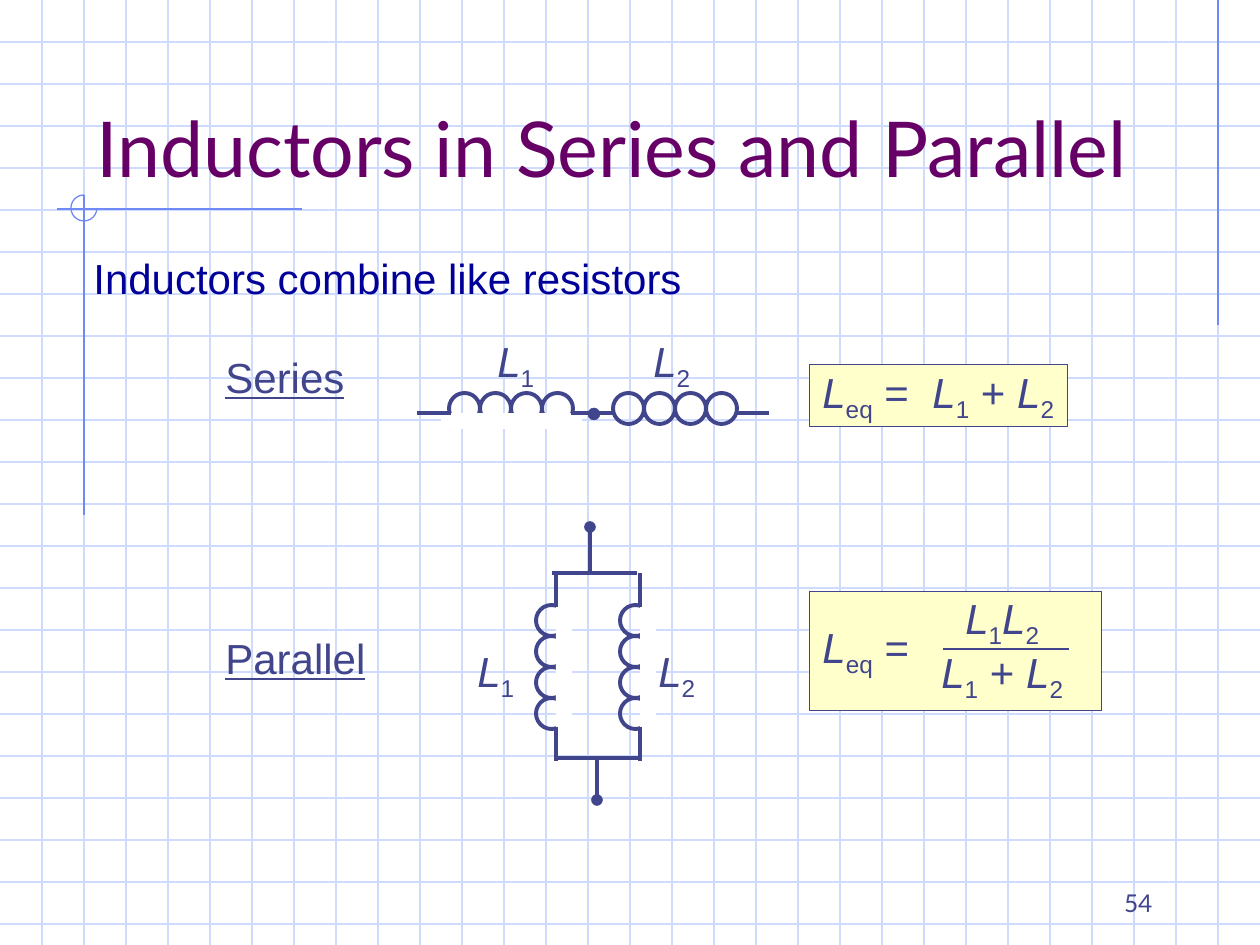
from lxml.etree import SubElement
from pptx import Presentation
from pptx.dml.color import RGBColor
from pptx.enum.shapes import MSO_CONNECTOR, MSO_SHAPE
from pptx.enum.text import MSO_ANCHOR, MSO_AUTO_SIZE, PP_ALIGN
from pptx.oxml.ns import qn
from pptx.util import Pt

PX = 914400 / 126  # EMU per px
WIDTH, HEIGHT, GRID = 1260, 945, 42

WHITE = RGBColor(0xFF, 0xFF, 0xFF)
GRID_BLUE = RGBColor(0xCF, 0xDB, 0xFD)
RULE_BLUE = RGBColor(0x6F, 0x89, 0xF7)
INK = RGBColor(0x40, 0x45, 0x8C)
NAVY = RGBColor(0x00, 0x00, 0x99)
PURPLE = RGBColor(0x66, 0x00, 0x66)
CREAM = RGBColor(0xFF, 0xFF, 0xCC)

SUBSCRIPTS = {"1", "2", "eq"}
TURNS, TURN = 4, 31  # loops in a coil and their diameter


def emu(*lengths):
    return [round(n * PX) for n in lengths]


class Sketch:
    def __init__(self, slide, ink=INK, font="Arial", size=24):
        self.s, self.ink, self.font, self.size = slide, ink, font, size

    def line(self, x1, y1, x2, y2, color=None, width=2.25, dot=False):
        c = self.s.shapes.add_connector(MSO_CONNECTOR.STRAIGHT, *emu(x1, y1, x2, y2))
        c.line.color.rgb = color or self.ink
        c.line.width = Pt(width)
        if dot:
            SubElement(c.line._get_or_add_ln(), qn("a:tailEnd"), type="oval")
        SubElement(c._element.spPr, qn("a:effectLst"))

    def shape(self, kind, x, y, w, h, fill=None, color=None, width=2.25):
        sp = self.s.shapes.add_shape(kind, *emu(x, y, w, h))
        sp.shadow.inherit = False
        if fill is None:
            sp.fill.background()
        else:
            sp.fill.solid()
            sp.fill.fore_color.rgb = fill
        if color is None:
            sp.line.fill.background()
        else:
            sp.line.color.rgb = color
            sp.line.width = Pt(width)
        return sp

    def text(self, x, y, w, h, *runs, color=None, font=None, size=None,
             underline=None, wrap=False, anchor=MSO_ANCHOR.TOP, align=PP_ALIGN.LEFT):
        tf = self.s.shapes.add_textbox(*emu(x, y, w, h)).text_frame
        tf.word_wrap = wrap
        tf.auto_size = MSO_AUTO_SIZE.NONE if wrap else MSO_AUTO_SIZE.SHAPE_TO_FIT_TEXT
        tf.vertical_anchor = anchor
        p = tf.paragraphs[0]
        p.alignment = align
        for run in runs:
            r = p.add_run()
            r.text = run
            r.font.name = font or self.font
            r.font.size = Pt(size or self.size)
            r.font.color.rgb = color or self.ink
            r.font.underline = underline
            if run == "L":
                r.font.italic = True
            elif run in SUBSCRIPTS:
                r._r.get_or_add_rPr().set("baseline", "-25000")

    def coil(self, x, y, vertical=False, mask=True):
        """Four loops with a lead at each end; the mask hides their inner half."""
        def place(along, across):
            return (x + across, y + along) if vertical else (x + along, y + across)

        for i in range(TURNS):
            self.shape(MSO_SHAPE.OVAL, *place(i * TURN, 0), TURN, TURN, color=self.ink)
        if mask:
            size = (16, 141) if vertical else (141, 16)
            self.shape(MSO_SHAPE.RECTANGLE, *place(-8, 20), *size, fill=WHITE)
        for start, end in ((-32, 2), (122, 156)):
            self.line(*place(start, 20), *place(end, 20))

    def panel(self, x, y, w, h):
        self.shape(MSO_SHAPE.RECTANGLE, x, y, w, h, CREAM, self.ink, 0.25)


def main():
    prs = Presentation()
    prs.slide_width, prs.slide_height = emu(WIDTH, HEIGHT)
    sk = Sketch(prs.slides.add_slide(prs.slide_layouts[6]))

    # Graph paper
    for y in range(GRID, HEIGHT, GRID):
        sk.line(0, y, WIDTH, y, GRID_BLUE, 0.75)
    for x in range(GRID, WIDTH, GRID):
        sk.line(x, 0, x, HEIGHT, GRID_BLUE, 0.75)

    # Ruled margins with a three-quarter circle at their crossing
    for ends in ((1218, 0, 1218, 325), (302, 209, 57, 209), (84, 195, 84, 515)):
        sk.line(*ends, RULE_BLUE, 0.75)
    arc = sk.shape(MSO_SHAPE.ARC, 71, 195, 26, 26, color=RULE_BLUE, width=0.75)
    arc.adjustments[0], arc.adjustments[1] = 0, 162

    # Headings and page number
    sk.text(903, 861, 262, 63, "54", font="Lato", size=14, wrap=True,
            anchor=MSO_ANCHOR.BOTTOM, align=PP_ALIGN.RIGHT)
    sk.text(84, 42, 1071, 157, "Inductors in Series and Parallel", color=PURPLE,
            font="Lato", size=44, wrap=True, anchor=MSO_ANCHOR.BOTTOM)
    sk.text(81, 246, 614, 63, "Inductors combine like resistors", color=NAVY)

    # Series circuit
    sk.text(213, 345, 144, 63, "Series", underline=True)
    sk.coil(613, 393, mask=False)
    sk.coil(449, 393)
    sk.shape(MSO_SHAPE.OVAL, 588, 408, 12, 12, INK, INK, 0.25)
    sk.text(485, 329, 62, 71, "L", "1")
    sk.text(641, 329, 62, 71, "L", "2")

    # Series formula
    sk.panel(809, 364, 258, 62)
    sk.text(810, 360, 123, 71, "L", "eq", " =")
    sk.text(920, 360, 159, 71, "L", "1", " + ", "L", "2")

    # Parallel circuit
    sk.text(213, 626, 165, 63, "Parallel", underline=True)
    for x in (536, 620):
        sk.coil(x, 605, vertical=True)
    sk.line(556, 758, 641, 758)
    sk.line(552, 573, 637, 573)
    sk.line(597, 756, 597, 800, dot=True)
    sk.line(590, 571, 590, 527, dot=True)
    sk.text(465, 639, 62, 71, "L", "1")
    sk.text(646, 639, 62, 71, "L", "2")

    # Parallel formula
    sk.panel(809, 591, 292, 119)
    sk.text(810, 615, 135, 71, "L", "eq", " =")
    sk.text(929, 640, 159, 71, "L", "1", " + ", "L", "2")
    sk.text(953, 586, 111, 71, "L", "1", "L", "2")
    sk.line(943, 649, 1069, 649, width=1.5)

    prs.save("out.pptx")


if __name__ == "__main__":
    main()
